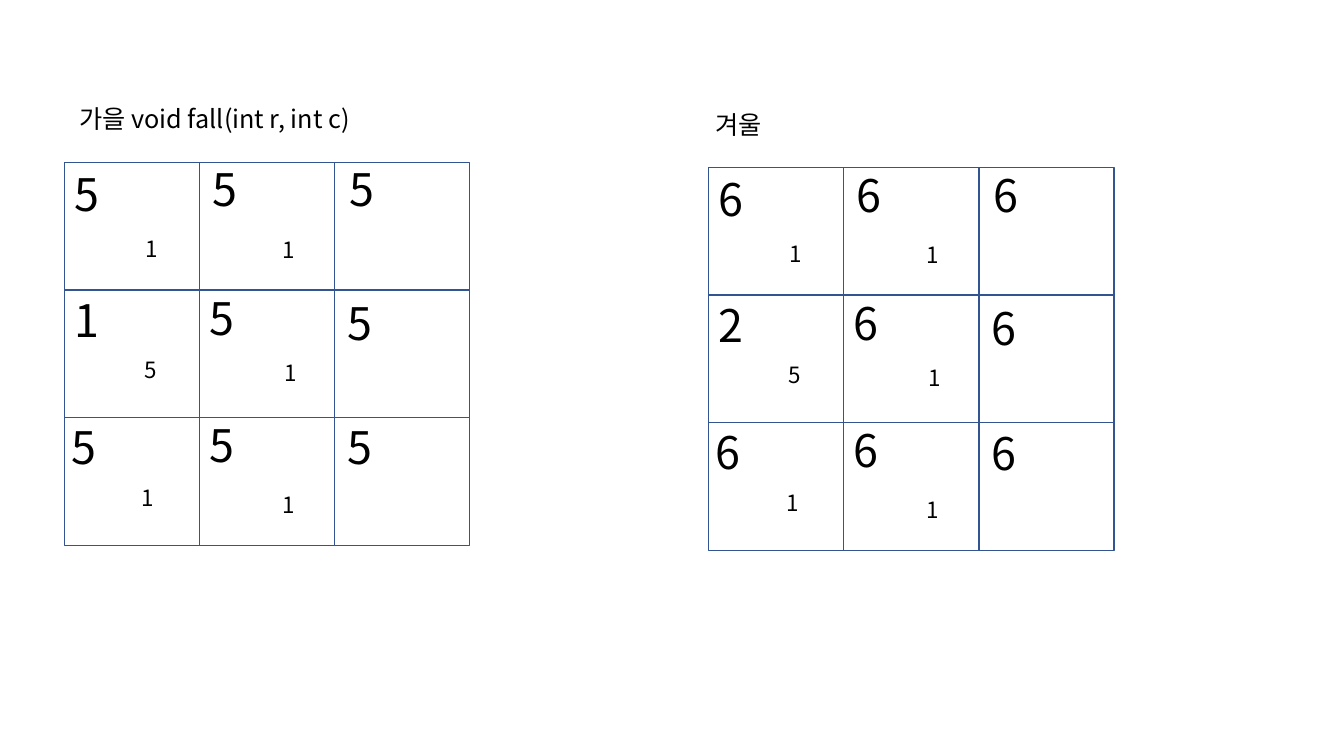
from pptx import Presentation
from pptx.dml.color import RGBColor
from pptx.enum.shapes import MSO_SHAPE as Shape
from pptx.enum.text import MSO_AUTO_SIZE as Fit
from pptx.oxml.ns import qn
from pptx.util import Pt
from lxml.etree import SubElement

WHITE = RGBColor(0xFF, 0xFF, 0xFF)
BLACK = RGBColor(0, 0, 0)
BLUE = RGBColor(0x32, 0x54, 0x91)
FONT = "Noto Sans CJK KR"

WIDE, HIGH = 96.5, 91.2
AGE_AT = [
    [(0, -0.7), (2.2, -3.6), (3.4, -3.6)],
    [(0, -1.4), (0, -3.2), (2.2, 0.4)],
    [(-2.2, -2.4), (0, -3.2), (2.2, -1.7)],
]
TREE_AT = [
    [(51, 48.2), (51.8, 49)],
    [(49.7, 43.4), (53.3, 45.6)],
    [(48.2, 43.7), (51.8, 48.7)],
]
TREES = ["11", "51", "11"]


class Board:
    def __init__(self, slide):
        self.slide = slide

    def text(self, words, left, top, width, height, size):
        box = self.slide.shapes.add_textbox(Pt(left), Pt(top), Pt(width), Pt(height))
        frame = box.text_frame
        frame.word_wrap = True
        frame.auto_size = Fit.SHAPE_TO_FIT_TEXT
        frame.text = words
        run = frame.paragraphs[0].runs[0]
        run.font.size = Pt(size)
        run.font.color.rgb = BLACK
        run.font.name = FONT
        SubElement(run.font._element, qn("a:ea"), typeface=FONT)

    def grid(self, left, top):
        group = self.slide.shapes.add_group_shape()
        for row in range(3):
            for col in range(3):
                cell = group.shapes.add_shape(
                    Shape.RECTANGLE, Pt(left + col * WIDE), Pt(top + row * HIGH),
                    Pt(WIDE), Pt(HIGH))
                cell.shadow.inherit = False
                cell.fill.solid()
                cell.fill.fore_color.rgb = WHITE
                cell.line.color.rgb = BLUE
                cell.line.width = Pt(1)

    def marks(self, left, top, rows, spots, height, size):
        for row, (marks, places) in enumerate(zip(rows, spots)):
            for col, (mark, (x, y)) in enumerate(zip(marks, places)):
                self.text(mark, left + col * WIDE + x, top + row * HIGH + y,
                          41, height, size)

    def season(self, left, top, ages):
        self.grid(left, top)
        self.marks(left, top, ages, AGE_AT, 46, 32)
        self.marks(left, top, TREES, TREE_AT, 26.6, 16)


def main():
    deck = Presentation()
    deck.slide_width, deck.slide_height = Pt(960), Pt(540)
    board = Board(deck.slides.add_slide(deck.slide_layouts[6]))
    board.season(46.1, 115.9, ["555", "155", "555"])
    board.season(506.2, 119.5, ["666", "266", "666"])
    board.text("가을 void fall(int r, int c)", 49.7, 70, 237.6, 29, 18)
    board.text("겨울", 504, 74.7, 237.6, 29, 18)
    deck.save("out.pptx")


if __name__ == "__main__":
    main()
